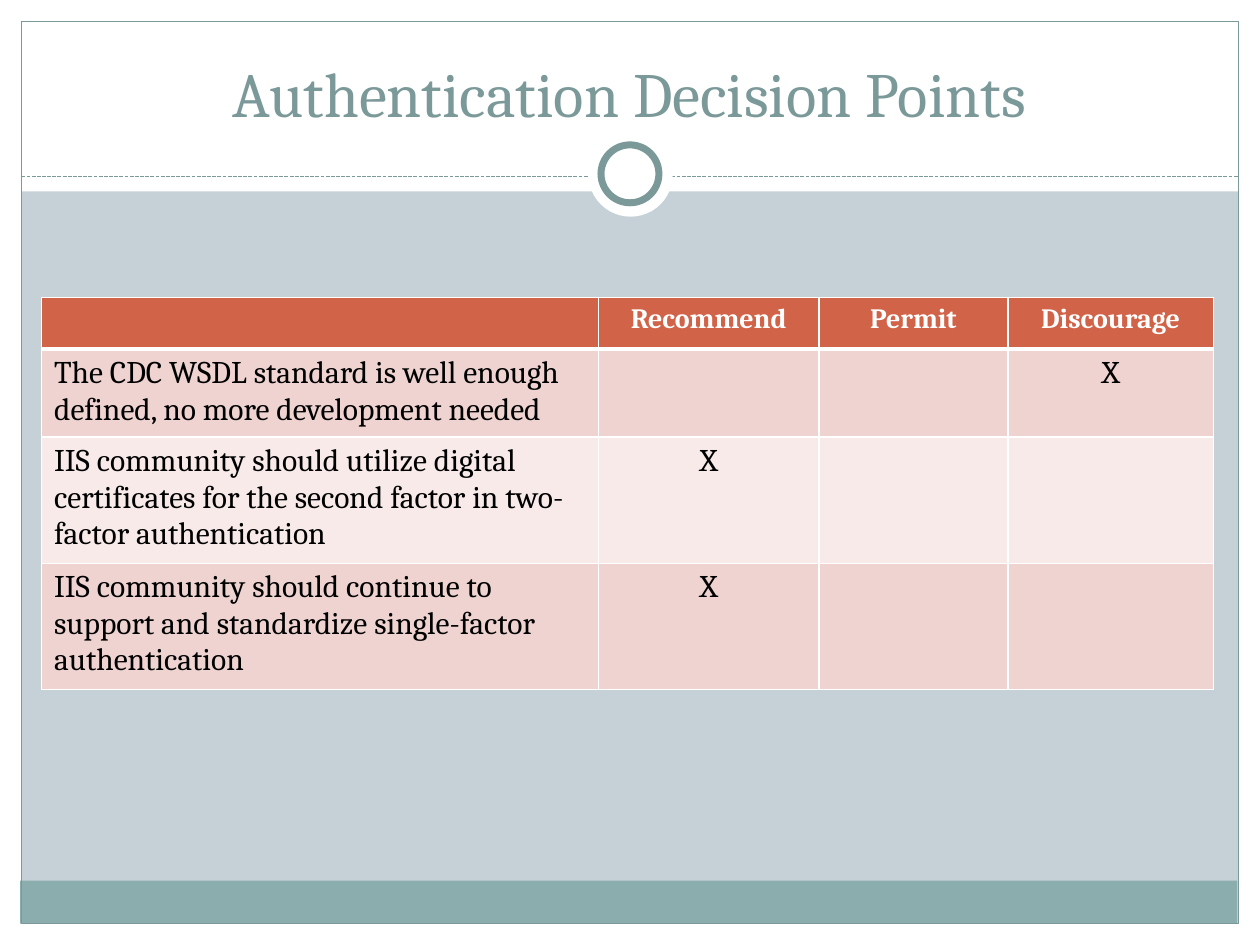
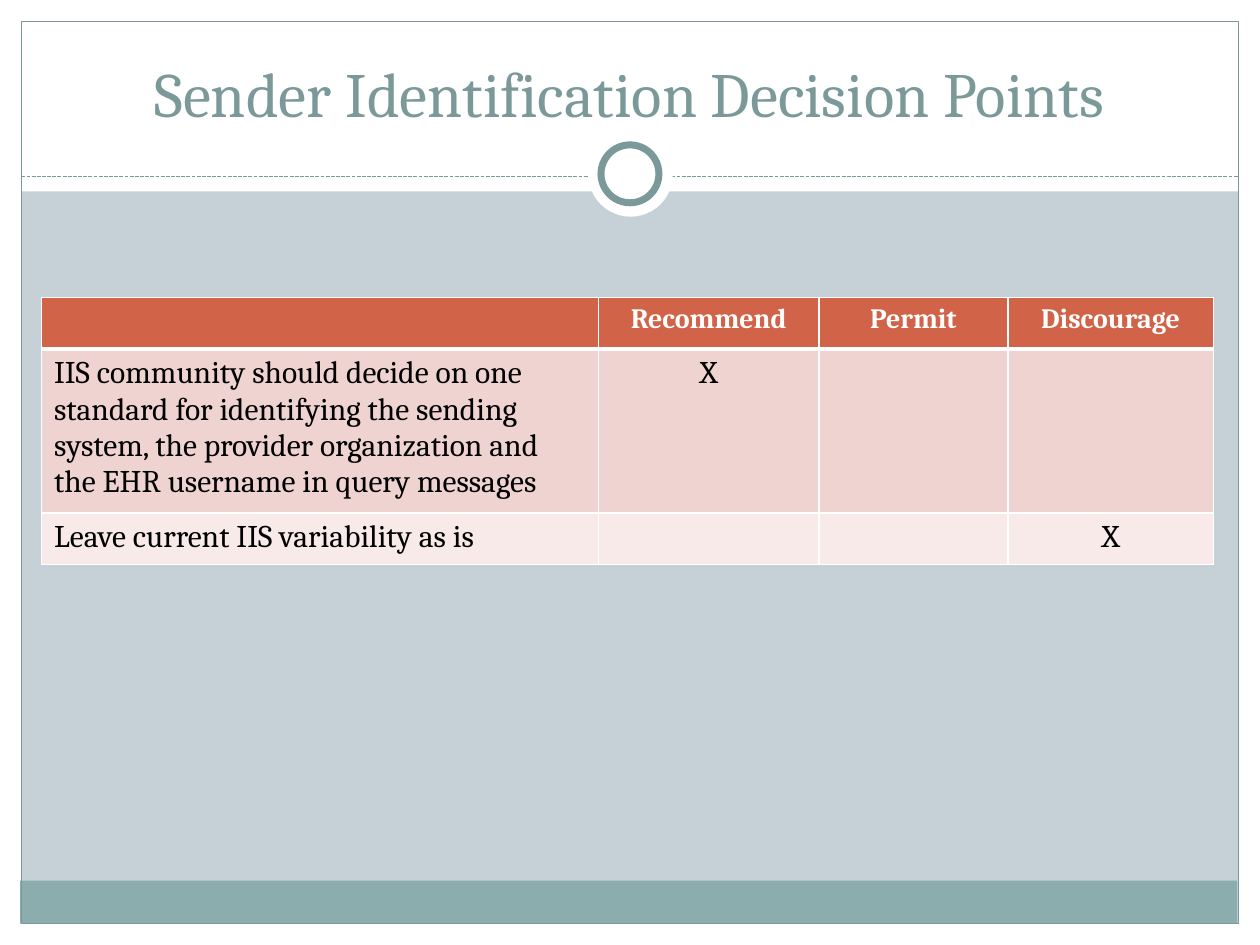
"""Builds two decision-point slides that share one frame, title style and table style."""
from lxml import etree
from pptx import Presentation
from pptx import util as u
from pptx.dml import color
from pptx.enum import dml, shapes, text
from pptx.oxml import ns

FONT = "Cambria"
WHITE, TEAL, BAND, PAPER = "FFFFFF", "7C999A", "8CADAE", "C5D1D7"
RUST, ROSE, BLUSH, BLACK = "D16349", "EED3D0", "F7EAE9", "000000"
RECT, OVAL = shapes.MSO_SHAPE.RECTANGLE, shapes.MSO_SHAPE.OVAL
WIDE, HIGH, EDGE = 10, 7.5, 0.17
TITLE = {"size": u.Pt(36), "bold": False, "hue": TEAL}
HEAD = {"size": u.Pt(16), "bold": True, "hue": WHITE}
BODY = {"size": u.Pt(18), "bold": False, "hue": BLACK}
LABELS = ["Recommend", "Permit", "Discourage"]
COLS = [4.42, 1.75, 1.5, 1.63]
ROW = 0.41

TOPICS = {
    "Authentication Decision Points": [
        ("The CDC WSDL standard is well enough defined, no more development needed",
         "Discourage"),
        ("IIS community should utilize digital certificates for the second factor "
         "in two-factor authentication", "Recommend"),
        ("IIS community should continue to support and standardize single-factor "
         "authentication", "Recommend"),
    ],
    "Sender Identification Decision Points": [
        ("IIS community should decide on one standard for identifying the sending "
         "system, the provider organization and the EHR username in query messages",
         "Recommend"),
        ("Leave current IIS variability as is", "Discourage"),
    ],
}


def rgb(code):
    return color.RGBColor.from_string(code)


def inch(*sizes):
    return [u.Inches(size) for size in sizes]


class Deck:
    """Holds the deck style and the current slide."""

    def __init__(self):
        self.prs = Presentation()
        self.prs.slide_width, self.prs.slide_height = inch(WIDE, HIGH)
        self.slide = None

    def page(self):
        self.slide = self.prs.slides.add_slide(self.prs.slide_layouts[6])
        back = self.slide.background.fill
        back.solid()
        back.fore_color.rgb = rgb(PAPER)

    def shape(self, kind, box, fill=None, line=None, width=0.75):
        item = self.slide.shapes.add_shape(kind, *inch(*box))
        item.shadow.inherit = False
        if fill:
            item.fill.solid()
            item.fill.fore_color.rgb = rgb(fill)
        else:
            item.fill.background()
        if line:
            item.line.color.rgb = rgb(line)
            item.line.width = u.Pt(width)
        else:
            item.line.fill.background()

    def rule(self, y):
        item = self.slide.shapes.add_connector(
            shapes.MSO_CONNECTOR.STRAIGHT, *inch(EDGE, y, WIDE - EDGE, y))
        form = {"width": u.Pt(0.75), "dash_style": dml.MSO_LINE.SQUARE_DOT}
        item.line.color.rgb = rgb(TEAL)
        for name, value in form.items():
            setattr(item.line, name, value)
        etree.SubElement(item._element.spPr, ns.qn("a:effectLst"))

    def label(self, frame, words, style, center=True):
        para = frame.paragraphs[0]
        para.alignment = text.PP_ALIGN.CENTER if center else text.PP_ALIGN.LEFT
        run = para.add_run()
        run.text = words
        run.font.color.rgb = rgb(style["hue"])
        for name, value in {"name": FONT, "size": style["size"],
                            "bold": style["bold"]}.items():
            setattr(run.font, name, value)

    def frame(self):
        inner = WIDE - 2 * EDGE
        for box in [(0, HIGH - EDGE, WIDE, EDGE), (0, 0, WIDE, 1.52),
                    (0, 0, EDGE, HIGH), (WIDE - EDGE, 0, EDGE, HIGH)]:
            self.shape(RECT, box, WHITE)
        self.shape(RECT, (0.16, 6.99, inner, 0.34), BAND)
        self.shape(RECT, (EDGE, EDGE, inner, HIGH - 2 * EDGE), line=TEAL)
        self.rule(1.4)
        self.shape(OVAL, (4.67, 1.05, 0.67, 0.67), WHITE)
        self.shape(OVAL, (4.77, 1.15, 0.46, 0.46), WHITE, TEAL, 4)

    def title(self, words):
        box = self.slide.shapes.add_textbox(*inch(0.33, 0.25, 9.33, 0.83))
        form = {"word_wrap": True, "vertical_anchor": text.MSO_ANCHOR.BOTTOM}
        for name, value in form.items():
            setattr(box.text_frame, name, value)
        self.label(box.text_frame, words, TITLE)

    def cell(self, cell, row, words, center):
        props = cell._tc.get_or_add_tcPr()
        widths = {"L": 1, "R": 1, "T": 3 if row == 1 else 1, "B": 1 if row else 3}
        for side, width in widths.items():
            edge = etree.SubElement(props, ns.qn("a:ln" + side), w=str(u.Pt(width)))
            paint = etree.SubElement(edge, ns.qn("a:solidFill"))
            etree.SubElement(paint, ns.qn("a:srgbClr"), val=WHITE)
        cell.fill.solid()
        fill = (ROSE if row % 2 else BLUSH) if row else RUST
        cell.fill.fore_color.rgb = rgb(fill)
        if words:
            self.label(cell.text_frame, words, BODY if row else HEAD, center)

    def table(self, points):
        rows = [["", *LABELS]]
        for point, choice in points:
            rows.append([point, *("X" if label == choice else "" for label in LABELS)])
        grid = self.slide.shapes.add_table(
            len(rows), len(COLS), *inch(0.33, 2.36, sum(COLS), ROW * len(rows))).table
        for col, width in zip(grid.columns, COLS):
            col.width = u.Inches(width)
        for r, row in enumerate(rows):
            for c, words in enumerate(row):
                self.cell(grid.cell(r, c), r, words, c > 0)


def main():
    deck = Deck()
    for title, points in TOPICS.items():
        deck.page()
        deck.frame()
        deck.title(title)
        deck.table(points)
    deck.prs.save("out.pptx")


if __name__ == "__main__":
    main()
